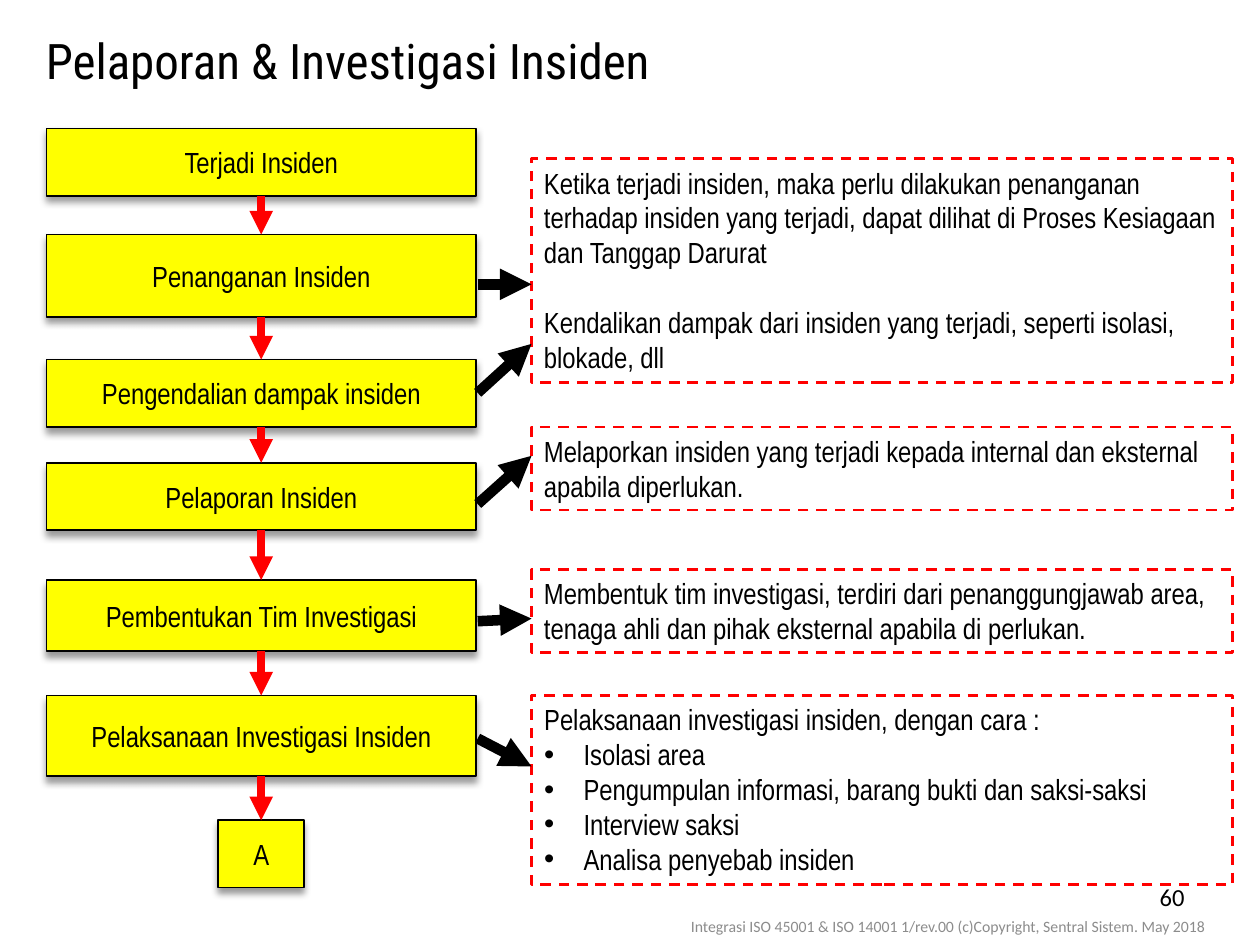
from dataclasses import dataclass
from itertools import pairwise

from lxml.etree import SubElement
from pptx import Presentation
from pptx.dml.color import RGBColor
from pptx.enum.dml import MSO_LINE
from pptx.enum.shapes import MSO_CONNECTOR, MSO_SHAPE
from pptx.enum.text import MSO_ANCHOR, MSO_AUTO_SIZE, PP_ALIGN
from pptx.oxml import parse_xml
from pptx.oxml.ns import nsdecls, qn
from pptx.util import Pt

BLACK = RGBColor(0x00, 0x00, 0x00)
RED = RGBColor(0xFF, 0x00, 0x00)
YELLOW = RGBColor(0xFF, 0xFF, 0x00)
GREY = RGBColor(0x8C, 0x8C, 0x8C)

FLOW_CENTER = 149.25
STEP_WIDTH = 245.5
NOTE_LEFT, NOTE_WIDTH = 303.75, 400.5
LINK_LEFT = 273
LIST_INDENT = 22.5


@dataclass(frozen=True)
class Step:
    text: str
    top: float
    height: float = 38.5
    width: float = STEP_WIDTH

    @property
    def bottom(self) -> float:
        return self.top + self.height


@dataclass(frozen=True)
class Note:
    paragraphs: tuple[str, ...]
    top: float
    height: float


@dataclass(frozen=True)
class Link:
    start_y: float
    end_y: float


STEPS = (
    Step("Terjadi Insiden", 73.5),
    Step("Penanganan Insiden", 134, 47),
    Step("Pengendalian dampak insiden", 205.5),
    Step("Pelaporan Insiden", 264.5),
    Step("Pembentukan Tim Investigasi", 331.5, 40.5),
    Step("Pelaksanaan Investigasi Insiden", 397.5, 46),
    Step("A", 468.75, width=49),
)
NOTES = (
    Note((
        "Ketika terjadi insiden, maka perlu dilakukan penanganan terhadap insiden "
        "yang terjadi, dapat dilihat di Proses Kesiagaan dan Tanggap Darurat",
        "Kendalikan dampak dari insiden yang terjadi, seperti isolasi, blokade, dll",
    ), 90.75, 128),
    Note((
        "Melaporkan insiden yang terjadi kepada internal dan eksternal apabila diperlukan.",
    ), 244, 47.5),
    Note((
        "Membentuk tim investigasi, terdiri dari penanggungjawab area, "
        "tenaga ahli dan pihak eksternal apabila di perlukan.",
    ), 325.5, 47.5),
)
METHODS = Note((
    "Pelaksanaan investigasi insiden, dengan cara :",
    "Isolasi area",
    "Pengumpulan informasi, barang bukti dan saksi-saksi",
    "Interview saksi",
    "Analisa penyebab insiden",
), 397.5, 108)
LINKS = (Link(162.5, 162.5), Link(224.5, 196.5), Link(288, 260.5),
         Link(355, 353.5), Link(422, 438))


def place(shape, left: float, top: float, width: float, height: float) -> None:
    shape.left, shape.top = Pt(left), Pt(top)
    shape.width, shape.height = Pt(width), Pt(height)


def write(para, text: str, *, size: float = 16.6, font: str = "Arial Narrow",
          color: RGBColor = BLACK, align: PP_ALIGN = PP_ALIGN.LEFT,
          before: float = 0) -> None:
    para.alignment = align
    para.space_before = Pt(before)
    span = para.add_run()
    span.text = text
    span.font.size, span.font.name = Pt(size), font
    span.font.color.rgb = color


def set_bullet(para, bulleted: bool) -> None:
    properties = para._p.get_or_add_pPr()
    indent = Pt(LIST_INDENT) if bulleted else 0
    properties.set("marL", str(indent))
    properties.set("indent", str(-indent))
    if bulleted:
        SubElement(properties, qn("a:buFont")).set("typeface", "Arial")
        SubElement(properties, qn("a:buChar")).set("char", "•")
    else:
        SubElement(properties, qn("a:buNone"))


def add_shadow(shape) -> None:
    shape._element.spPr.append(parse_xml(
        f'<a:effectLst {nsdecls("a")}>'
        f'<a:outerShdw blurRad="{Pt(4)}" dist="{Pt(3)}" dir="5400000" rotWithShape="0">'
        '<a:srgbClr val="000000"><a:alpha val="40000"/></a:srgbClr>'
        '</a:outerShdw></a:effectLst>'))


def add_step(page, step: Step) -> None:
    box = page.shapes.add_shape(
        MSO_SHAPE.RECTANGLE, Pt(FLOW_CENTER - step.width / 2), Pt(step.top),
        Pt(step.width), Pt(step.height))
    box.fill.solid()
    box.fill.fore_color.rgb = YELLOW
    box.line.color.rgb = BLACK
    box.line.width = Pt(1)
    add_shadow(box)
    box.text_frame.word_wrap = True
    box.text_frame.vertical_anchor = MSO_ANCHOR.MIDDLE
    write(box.text_frame.paragraphs[0], step.text, align=PP_ALIGN.CENTER)


def fill_note(box, note: Note, *, bulleted: bool = False, gap: float = 0) -> None:
    """Frame the box in red dashes and write the note; bullets follow its first line."""
    place(box, NOTE_LEFT, note.top, NOTE_WIDTH, note.height)
    box.fill.background()
    box.line.color.rgb = RED
    box.line.width = Pt(1.5)
    box.line.dash_style = MSO_LINE.DASH
    frame = box.text_frame
    frame.word_wrap = True
    frame.auto_size = MSO_AUTO_SIZE.NONE
    frame.vertical_anchor = MSO_ANCHOR.TOP
    for index, text in enumerate(note.paragraphs):
        para = frame.paragraphs[0] if index == 0 else frame.add_paragraph()
        set_bullet(para, bulleted and index > 0)
        write(para, text, before=gap if index else 0)


def add_arrow(page, start: tuple[float, float], end: tuple[float, float],
              color: RGBColor, width: float) -> None:
    arrow = page.shapes.add_connector(
        MSO_CONNECTOR.STRAIGHT, *(Pt(value) for value in (*start, *end)))
    arrow.line.color.rgb = color
    arrow.line.width = Pt(width)
    SubElement(arrow.line._get_or_add_ln(), qn("a:tailEnd")).set("type", "triangle")
    SubElement(arrow._element.spPr, qn("a:effectLst"))


def add_label(page, text: str, area: tuple[float, float, float, float],
              anchor: MSO_ANCHOR, **text_format) -> None:
    box = page.shapes.add_textbox(*(Pt(value) for value in area))
    box.text_frame.word_wrap = True
    box.text_frame.vertical_anchor = anchor
    write(box.text_frame.paragraphs[0], text, font="Calibri",
          align=PP_ALIGN.RIGHT, **text_format)


def main() -> None:
    deck = Presentation()
    deck.slide_width, deck.slide_height = Pt(720), Pt(540)
    page = deck.slides.add_slide(deck.slide_layouts[1])

    title = page.shapes.title
    place(title, 19, 13.75, 569.5, 41)
    title.text_frame.vertical_anchor = MSO_ANCHOR.TOP
    title.text_frame.auto_size = MSO_AUTO_SIZE.NONE
    write(title.text_frame.paragraphs[0], "Pelaporan & Investigasi Insiden",
          size=28, font="Roboto Condensed")

    for step in STEPS:
        add_step(page, step)
    for upper, lower in pairwise(STEPS):
        add_arrow(page, (FLOW_CENTER, upper.bottom), (FLOW_CENTER, lower.top), RED, 4.5)

    for note in NOTES:
        box = page.shapes.add_shape(MSO_SHAPE.RECTANGLE, 0, 0, 0, 0)
        box.shadow.inherit = False
        fill_note(box, note, gap=20)
    fill_note(page.placeholders[1], METHODS, bulleted=True)
    for link in LINKS:
        add_arrow(page, (LINK_LEFT, link.start_y), (NOTE_LEFT, link.end_y), BLACK, 6)

    add_label(page, "60", (516, 500.5, 168, 29), MSO_ANCHOR.TOP, size=14)
    add_label(page, "Integrasi ISO 45001 & ISO 14001 1/rev.00 (c)Copyright, "
              "Sentral Sistem. May 2018", (371.5, 524, 324, 11), MSO_ANCHOR.MIDDLE,
              size=9, color=GREY)
    deck.save("out.pptx")


if __name__ == "__main__":
    main()
